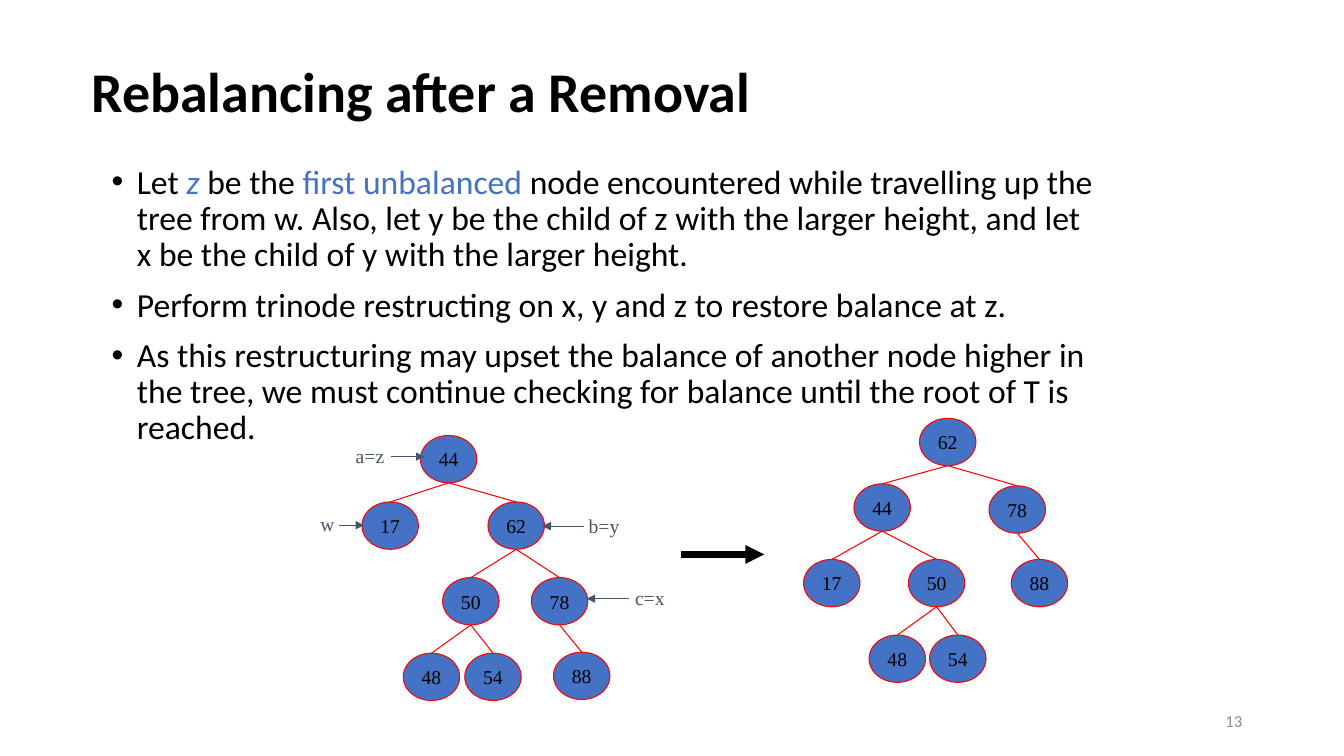
from lxml import etree
from pptx import Presentation
from pptx.dml.color import RGBColor
from pptx.enum.shapes import MSO_CONNECTOR, MSO_SHAPE
from pptx.enum.text import MSO_ANCHOR, PP_ALIGN
from pptx.oxml.ns import qn
from pptx.util import Inches, Pt

STRAIGHT = MSO_CONNECTOR.STRAIGHT
ELLIPSE = MSO_SHAPE.OVAL
TOP, MIDDLE = MSO_ANCHOR.TOP, MSO_ANCHOR.MIDDLE
LEFT, CENTER, RIGHT = PP_ALIGN.LEFT, PP_ALIGN.CENTER, PP_ALIGN.RIGHT

COLORS = {
    "black": "000000",
    "blue": "4472C4",
    "red": "FF0000",
    "slate": "44546A",
    "gray": "8C8C8C",
}
SANS, SERIF = "Calibri", "Times New Roman"
NODE_WIDTH, NODE_HEIGHT = 0.56, 0.47
LABEL_WIDTH, LABEL_HEIGHT = 0.55, 0.33

BULLETS = [
    [
        ("Let ", {}),
        ("z", {"color": "blue", "italic": True}),
        (" be the ", {}),
        ("first unbalanced", {"color": "blue"}),
        (" node encountered while travelling up the tree from w. Also, let y be "
         "the child of z with the larger height, and let x be the child of y "
         "with the larger height.", {}),
    ],
    [("Perform trinode restructing on x, y and z to restore balance at z.", {})],
    [("As this restructuring may upset the balance of another node higher in the "
      "tree, we must continue checking for balance until the root of T is "
      "reached.", {})],
]

TREE_BEFORE = {
    "44": (4.17, 4.32, None),
    "17": (3.59, 4.98, "44"),
    "62": (4.84, 4.98, "44"),
    "50": (4.39, 5.73, "62"),
    "78": (5.27, 5.73, "62"),
    "48": (4, 6.48, "50"),
    "54": (4.61, 6.48, "50"),
    "88": (5.49, 6.47, "78"),
}
TREE_AFTER = {
    "62": (9.12, 4.15, None),
    "44": (8.47, 4.8, "62"),
    "78": (9.81, 4.82, "62"),
    "17": (7.97, 5.55, "44"),
    "50": (9.01, 5.55, "44"),
    "88": (10.03, 5.55, "78"),
    "48": (8.62, 6.3, "50"),
    "54": (9.22, 6.3, "50"),
}
POINTERS = [
    ("a=z", 3.43, 4.36, 3.88, 4.21, 4.53),
    ("w", 3.08, 5.03, 3.36, 3.61, 5.21),
    ("b=y", 5.74, 5.05, 5.79, 5.38, 5.22),
    ("c=x", 6.2, 5.76, 6.24, 5.82, 5.94),
]


def color_of(name):
    return RGBColor.from_string(COLORS[name])


def add_span(para, text, size=14, font=SERIF, color="black", bold=False, italic=False):
    span = para.add_run()
    span.text = text
    span.font.size = Pt(size)
    span.font.name = font
    span.font.bold = bold
    span.font.italic = italic
    span.font.color.rgb = color_of(color)


def add_text(page, text, left, top, width, height, align=LEFT, anchor=TOP,
             spacing=1.0, **style):
    box = page.shapes.add_textbox(Inches(left), Inches(top), Inches(width), Inches(height))
    box.text_frame.word_wrap = True
    box.text_frame.vertical_anchor = anchor
    para = box.text_frame.paragraphs[0]
    para.alignment = align
    para.line_spacing = spacing
    add_span(para, text, **style)


def add_bullets(page, bullets, left, top, width, height):
    box = page.shapes.add_textbox(Inches(left), Inches(top), Inches(width), Inches(height))
    frame = box.text_frame
    frame.word_wrap = True
    for index, spans in enumerate(bullets):
        para = frame.add_paragraph() if index else frame.paragraphs[0]
        para.line_spacing = 0.9
        para.space_before = Pt(10)
        properties = para._p.get_or_add_pPr()
        properties.set("marL", str(Inches(0.25)))
        properties.set("indent", str(-Inches(0.25)))
        etree.SubElement(properties, qn("a:buFont"), typeface="Arial")
        etree.SubElement(properties, qn("a:buChar"), char="•")
        for text, style in spans:
            add_span(para, text, size=24, font=SANS, **style)


def add_line(page, start, end, color, width=0.75, arrow=False):
    line = page.shapes.add_connector(STRAIGHT, *(Inches(value) for value in start + end))
    line.line.color.rgb = color_of(color)
    line.line.width = Pt(width)
    etree.SubElement(line._element.spPr, qn("a:effectLst"))
    if arrow:
        etree.SubElement(line.line._get_or_add_ln(), qn("a:tailEnd"), type="triangle")
    return line


def add_node(page, key, left, top):
    node = page.shapes.add_shape(ELLIPSE, Inches(left), Inches(top),
                                 Inches(NODE_WIDTH), Inches(NODE_HEIGHT))
    node.shadow.inherit = False
    node.fill.solid()
    node.fill.fore_color.rgb = color_of("blue")
    node.line.color.rgb = color_of("red")
    node.line.width = Pt(0.75)
    node.text_frame.word_wrap = False
    node.text_frame.vertical_anchor = MIDDLE
    para = node.text_frame.paragraphs[0]
    para.alignment = CENTER
    add_span(para, key)
    return node


def add_tree(page, tree):
    for key, (left, top, parent) in tree.items():
        node = add_node(page, key, left, top)
        if parent:
            parent_left, parent_top, _ = tree[parent]
            start = (parent_left + NODE_WIDTH / 2, parent_top + NODE_HEIGHT)
            edge = add_line(page, start, (left + NODE_WIDTH / 2, top), "red")
            edge.end_connect(node, 0)


def add_pointer(page, label, left, top, tail, tip, level):
    add_text(page, label, left, top, LABEL_WIDTH, LABEL_HEIGHT, color="slate")
    add_line(page, (tail, level), (tip, level), "slate", arrow=True)


def main():
    deck = Presentation()
    deck.slide_width, deck.slide_height = Inches(13.33), Inches(7.5)
    page = deck.slides.add_slide(deck.slide_layouts[6])
    add_text(page, "Rebalancing after a Removal", 0.81, 0.31, 7.83, 1.25,
             anchor=MIDDLE, spacing=0.9, size=40, font=SANS, bold=True)
    add_bullets(page, BULLETS, 1.01, 1.59, 9.97, 2.67)
    add_tree(page, TREE_BEFORE)
    for pointer in POINTERS:
        add_pointer(page, *pointer)
    add_tree(page, TREE_AFTER)
    add_line(page, (6.75, 5.5), (7.58, 5.5), "black", width=4.5, arrow=True)
    add_text(page, "13", 9.42, 6.95, 3, 0.4, align=RIGHT, anchor=MIDDLE,
             size=12, font=SANS, color="gray")
    deck.save("out.pptx")


if __name__ == "__main__":
    main()
